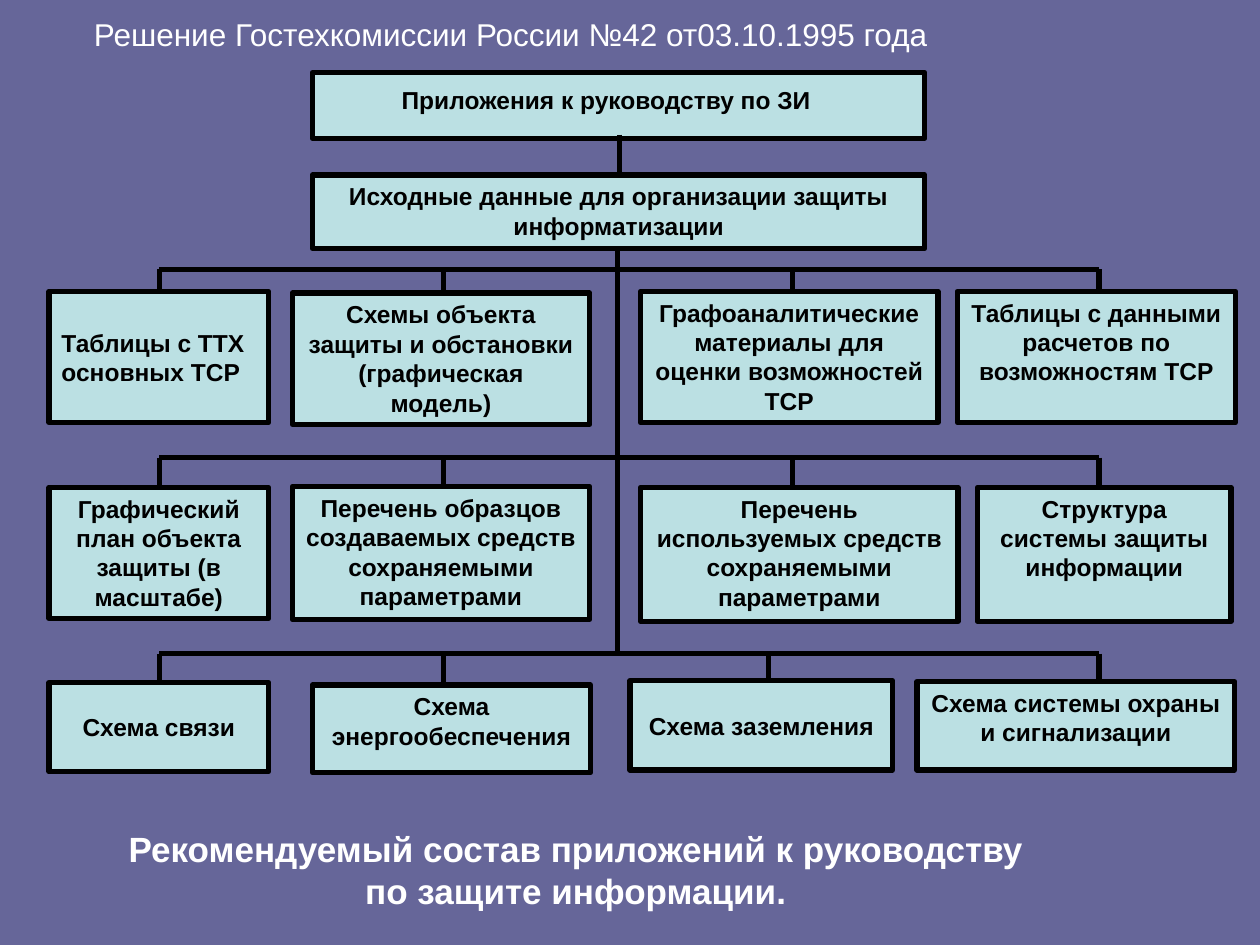
import pptx
from lxml import etree
from pptx.dml.color import RGBColor
from pptx.enum.shapes import MSO_CONNECTOR, MSO_SHAPE
from pptx.enum.text import MSO_ANCHOR, MSO_AUTO_SIZE, PP_ALIGN
from pptx.oxml.ns import qn
from pptx.util import Pt

BACKGROUND = RGBColor(0x66, 0x66, 0x99)
BOX_FILL = RGBColor(0xBB, 0xE0, 0xE3)
BLACK = RGBColor(0, 0, 0)
WHITE = RGBColor(0xFF, 0xFF, 0xFF)
FONT = "Arial"
LINE_WIDTH = 3
INSETS = (7.2, 3.6, 7.2, 3.6)
LEFT, CENTER = PP_ALIGN.LEFT, PP_ALIGN.CENTER
TOP, MIDDLE = MSO_ANCHOR.TOP, MSO_ANCHOR.MIDDLE

# Content: text, (left, top, width, height), alignment, anchor
TITLE = "Решение Гостехкомиссии России №42 от03.10.1995 года"
CAPTION = "Рекомендуемый состав приложений к руководству\nпо защите информации."
ROOT = ("Приложения к руководству по ЗИ", (178.5, 41.5, 350, 37.5), LEFT, TOP)
SOURCE_DATA = ("Исходные данные для организации защиты информатизации",
               (178.5, 100, 350, 42), CENTER, TOP)

# Each row: height of its horizontal bus, then its boxes
ROWS = [
    (154, [
        ("Таблицы с ТТХ основных ТСР", (28, 166.5, 125.5, 75), LEFT, MIDDLE),
        ("Схемы объекта защиты и обстановки (графическая\nмодель)",
         (167, 167.5, 170, 75), CENTER, TOP),
        ("Графоаналитические материалы для оценки возможностей ТСР",
         (366, 166.5, 170, 75), CENTER, TOP),
        ("Таблицы с данными расчетов по возможностям ТСР",
         (547, 166.5, 159, 75), CENTER, TOP),
    ]),
    (261.5, [
        ("Графический план объекта защиты (в масштабе)",
         (28, 278.5, 125.5, 75), CENTER, TOP),
        ("Перечень образцов создаваемых средств сохраняемыми параметрами",
         (167, 278, 170, 76), CENTER, TOP),
        ("Перечень используемых средств сохраняемыми параметрами",
         (366, 278.5, 181.5, 76.5), CENTER, TOP),
        ("Структура системы защиты информации",
         (558.5, 278.5, 145, 76.5), CENTER, TOP),
    ]),
    (373.5, [
        ("Схема связи", (28, 390, 125.5, 51), CENTER, MIDDLE),
        ("Схема энергообеспечения", (178.5, 391.5, 159, 50), CENTER, TOP),
        ("Схема заземления", (360, 389, 150, 51), CENTER, MIDDLE),
        ("Схема системы охраны и сигнализации",
         (524, 389.5, 181.5, 50.5), CENTER, TOP),
    ]),
]
DROPS = [(91, 253.5, 453, 628), (91, 253.5, 453, 628), (91, 253.5, 439, 628)]
TRUNK = 353


def write_text(shape, text, size, color, bold, alignment, anchor, insets=INSETS):
    frame = shape.text_frame
    frame.text = text
    frame.auto_size = MSO_AUTO_SIZE.NONE
    frame.word_wrap = True
    frame.vertical_anchor = anchor
    (frame.margin_left, frame.margin_top,
     frame.margin_right, frame.margin_bottom) = map(Pt, insets)
    for paragraph in frame.paragraphs:
        paragraph.alignment = alignment
        paragraph.line_spacing = 1.0
        paragraph.space_before = Pt(0)
        for run in paragraph.runs:
            run.font.name = FONT
            run.font.size = Pt(size)
            run.font.bold = bold
            run.font.color.rgb = color


def add_box(slide, text, bounds, alignment, anchor, insets=INSETS):
    box = slide.shapes.add_shape(MSO_SHAPE.RECTANGLE, *map(Pt, bounds))
    box.shadow.inherit = False
    box.fill.solid()
    box.fill.fore_color.rgb = BOX_FILL
    box.line.color.rgb = BLACK
    box.line.width = Pt(LINE_WIDTH)
    write_text(box, text, 14, BLACK, True, alignment, anchor, insets)


def add_line(slide, *ends):
    line = slide.shapes.add_connector(MSO_CONNECTOR.STRAIGHT, *map(Pt, ends))
    line.line.color.rgb = BLACK
    line.line.width = Pt(LINE_WIDTH)
    etree.SubElement(line._element.spPr, qn("a:effectLst"))


def main():
    presentation = pptx.Presentation()
    presentation.slide_width, presentation.slide_height = Pt(720), Pt(540)
    slide = presentation.slides.add_slide(presentation.slide_layouts[5])
    slide.background.fill.solid()
    slide.background.fill.fore_color.rgb = BACKGROUND

    # Title
    title = slide.shapes.title
    title.left, title.top, title.width, title.height = map(Pt, (46.5, 5, 495, 30))
    write_text(title, TITLE, 18, WHITE, False, LEFT, TOP)

    # Boxes
    add_box(slide, *ROOT, insets=(51, 7.2, 0, 0))
    add_box(slide, *SOURCE_DATA)
    for _, boxes in ROWS:
        for box in boxes:
            add_box(slide, *box)

    # Trunk, then a bus with drops for each row
    add_line(slide, 354, 77, 354, 100)
    add_line(slide, TRUNK, 142, TRUNK, ROWS[-1][0])
    for (bus, boxes), drops in zip(ROWS, DROPS):
        add_line(slide, drops[0], bus, drops[-1], bus)
        for x, (_, bounds, _, _) in zip(drops, boxes):
            add_line(slide, x, bus, x, bounds[1])

    # Caption
    caption = slide.shapes.add_textbox(*map(Pt, (61, 473, 536, 50)))
    write_text(caption, CAPTION, 20, WHITE, True, CENTER, TOP, (0, 0, 0, 0))

    presentation.save("out.pptx")


if __name__ == "__main__":
    main()
